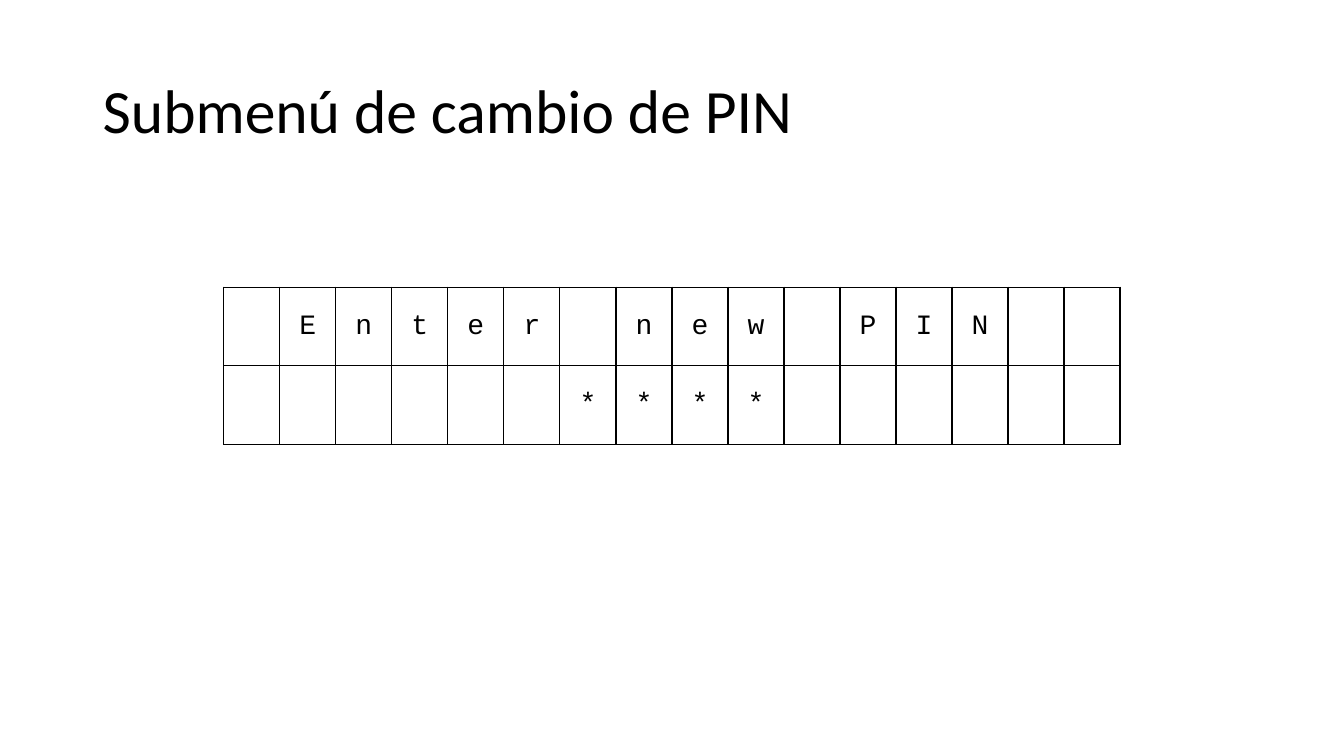
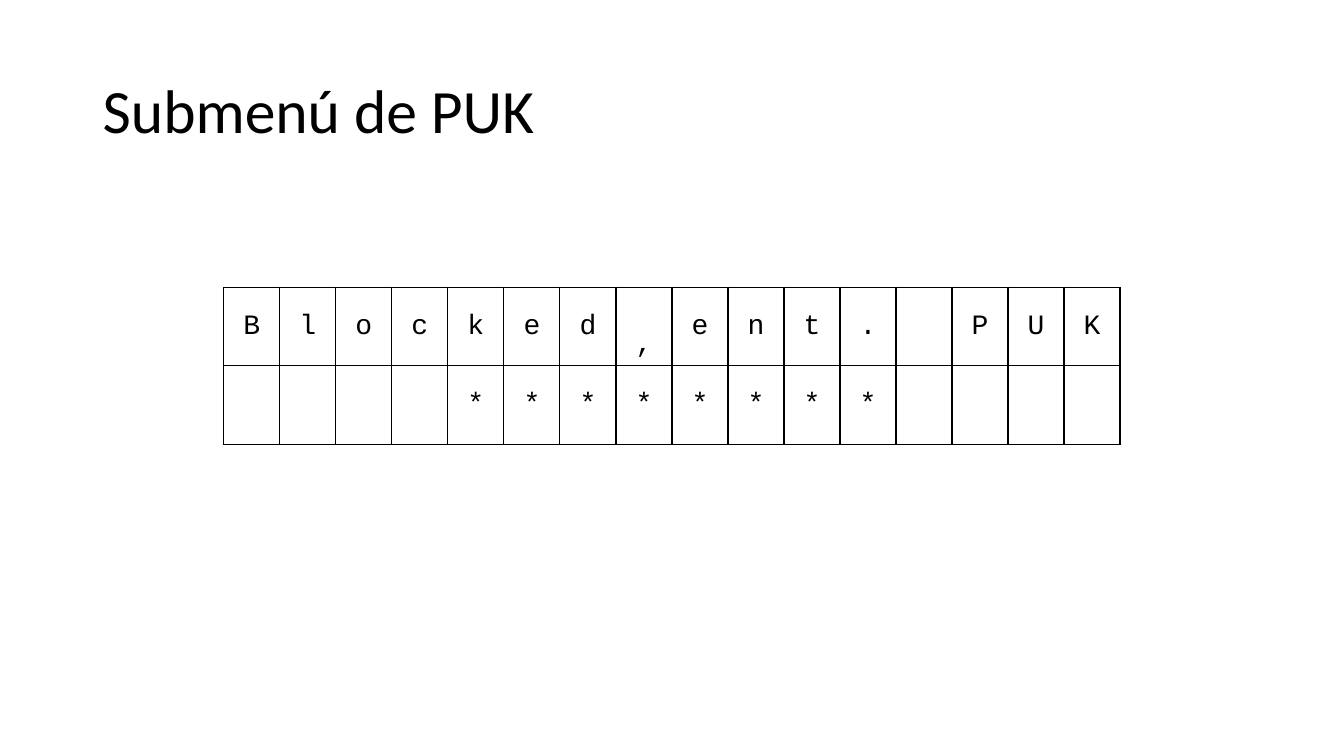
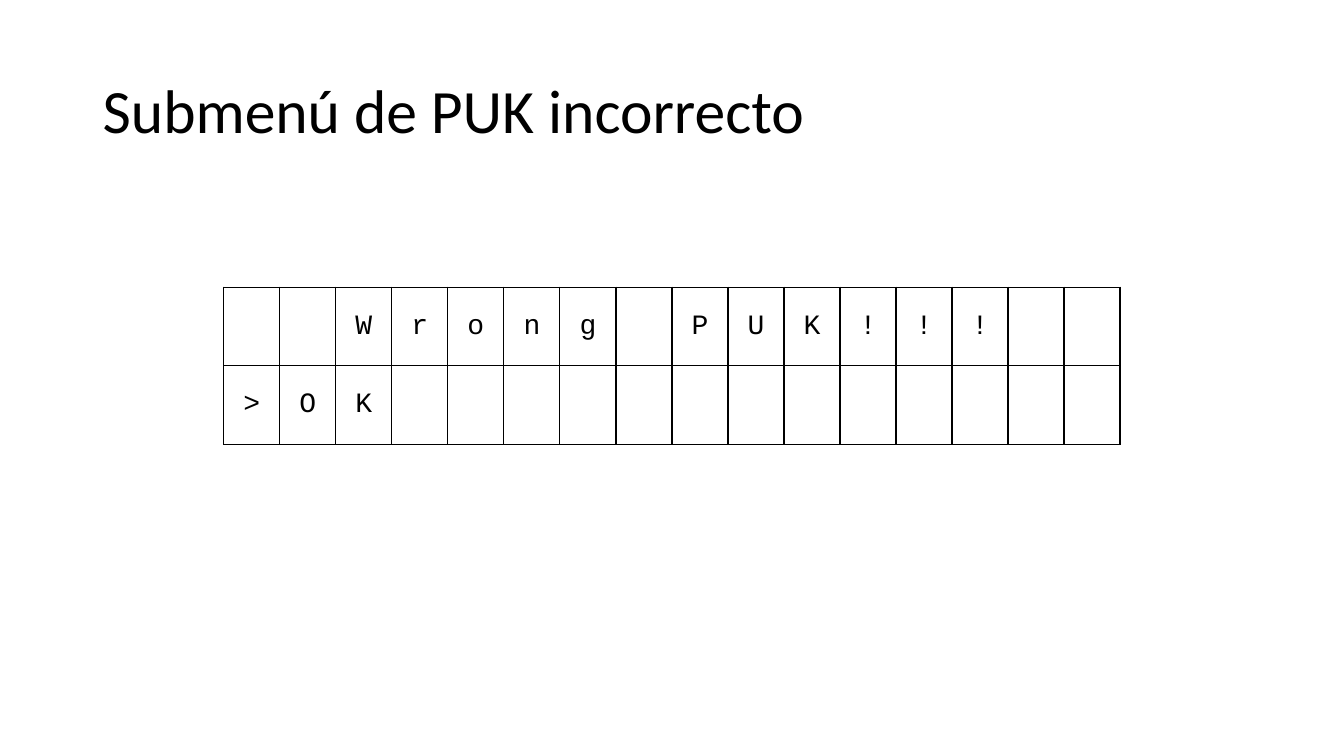
from lxml.etree import SubElement
from pptx import Presentation
from pptx.dml.color import RGBColor
from pptx.enum.text import MSO_ANCHOR as Anchor, PP_ALIGN as Align
from pptx.oxml.ns import qn
from pptx.util import Inches, Pt

# Content: title, then each display line as (first column, characters)
SCREENS = [
    ("Submenú de cambio de PIN", [(1, "Enter new PIN"), (6, "****")]),
    ("Submenú de PUK", [(0, "Blocked,ent. PUK"), (4, "********")]),
    ("Submenú de PUK incorrecto", [(2, "Wrong PUK!!!"), (0, ">OK")]),
]

# Shared style
BLACK = RGBColor(0, 0, 0)
TITLE_FONT, DISPLAY_FONT = "Calibri", "Courier New"
TITLE_BOX = [Inches(v) for v in (0.92, 0.4, 11.5, 1.45)]
DISPLAY_COLS = 16
DISPLAY_LEFT, DISPLAY_TOP = Inches(2.22), Inches(2.85)
DISPLAY_WIDTH, ROW_HEIGHT = Inches(8.89), Inches(0.78)
BORDER_WIDTH = Pt(1)


def write(frame, text, *, font, size, color=BLACK, align=Align.LEFT, spacing=None):
    paragraph = frame.paragraphs[0]
    paragraph.alignment = align
    paragraph.line_spacing = spacing
    run = paragraph.add_run()
    run.text = text
    run.font.name = font
    run.font.size = Pt(size)
    run.font.color.rgb = color


def add_borders(cell):
    properties = cell._tc.get_or_add_tcPr()
    for side in ("a:lnL", "a:lnR", "a:lnT", "a:lnB"):
        line = SubElement(properties, qn(side), w=str(BORDER_WIDTH))
        fill = SubElement(line, qn("a:solidFill"))
        SubElement(fill, qn("a:srgbClr"), val=str(BLACK))


def add_title(slide, title):
    frame = slide.shapes.add_textbox(*TITLE_BOX).text_frame
    frame.word_wrap = True
    frame.vertical_anchor = Anchor.MIDDLE
    write(frame, title, font=TITLE_FONT, size=44, spacing=0.9)


def add_display(slide, lines):
    display = slide.shapes.add_table(
        len(lines), DISPLAY_COLS, DISPLAY_LEFT, DISPLAY_TOP,
        DISPLAY_WIDTH, ROW_HEIGHT * len(lines)).table
    display.first_row = display.horz_banding = False

    # Grid
    for column in display.columns:
        column.width = DISPLAY_WIDTH // DISPLAY_COLS
    for row in display.rows:
        row.height = ROW_HEIGHT
    for cell in display.iter_cells():
        add_borders(cell)
        cell.fill.background()

    # One character per cell; a comma sits at the foot of its cell
    for row, (start, text) in enumerate(lines):
        for column, character in enumerate(text, start):
            if character == " ":
                continue
            cell = display.cell(row, column)
            cell.vertical_anchor = Anchor.BOTTOM if character == "," else Anchor.MIDDLE
            write(cell.text_frame, character, font=DISPLAY_FONT, size=20,
                  align=Align.CENTER)


def main():
    deck = Presentation()
    deck.slide_width, deck.slide_height = Inches(13.33), Inches(7.5)
    blank = deck.slide_layouts[6]
    for title, lines in SCREENS:
        slide = deck.slides.add_slide(blank)
        add_display(slide, lines)
        add_title(slide, title)
    deck.save("out.pptx")


if __name__ == "__main__":
    main()
